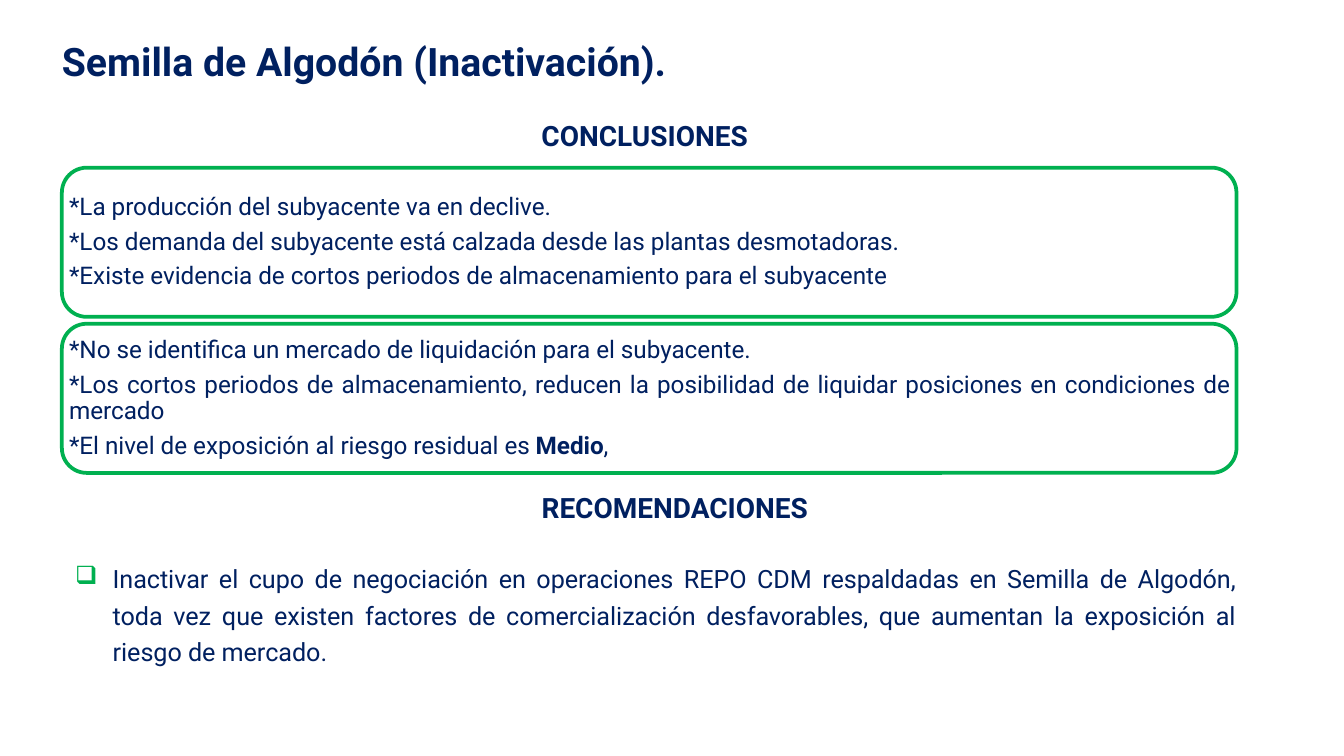
"""Builds the cottonseed slide with conclusions and recommendations."""
from lxml.etree import SubElement
from pptx import Presentation
from pptx.dml.color import RGBColor
from pptx.enum.shapes import MSO_SHAPE as Shape
from pptx.enum.text import MSO_ANCHOR as Anchor, MSO_AUTO_SIZE as AutoSize, PP_ALIGN as Align
from pptx.oxml.ns import qn
from pptx.util import Cm, Pt

NAVY = RGBColor(0x00, 0x20, 0x60)
GREEN = RGBColor(0x00, 0xB0, 0x50)
FONT = "Roboto"
LEFT, WIDTH = 1.17, 22.2
PANEL_TOP, PANEL_HEIGHT, PANEL_PITCH = 3.17, 2.82, 2.95

TITLE = "Semilla de Algodón (Inactivación)."
CONCLUSIONS = [
    [
        "*La producción del subyacente va en declive.",
        "*Los demanda del subyacente está calzada desde las plantas desmotadoras.",
        "*Existe evidencia de cortos periodos de almacenamiento para el subyacente",
    ],
    [
        "*No se identifica un mercado de liquidación para el subyacente.",
        "*Los cortos periodos de almacenamiento, reducen la posibilidad de liquidar "
        "posiciones en condiciones de mercado",
        "*El nivel de exposición al riesgo residual es |Medio|,",
    ],
]
RECOMMENDATION = (
    "Inactivar el cupo de negociación en operaciones REPO CDM respaldadas en Semilla de "
    "Algodón, toda vez que existen factores de comercialización desfavorables, que aumentan "
    "la exposición al riesgo de mercado."
)


def add_bullet(paragraph, char, indent):
    """Give a paragraph a green hanging bullet."""
    properties = paragraph._p.get_or_add_pPr()
    properties.set("marL", str(indent))
    properties.set("indent", str(-indent))
    color = SubElement(properties, qn("a:buClr"))
    SubElement(color, qn("a:srgbClr"), val=str(GREEN))
    SubElement(properties, qn("a:buChar"), char=char)


def write(frame, lines, size, bold=False, align=Align.LEFT, spacing=1.2, after=0,
          bullet=None, anchor=Anchor.TOP, inset=0):
    """Fill a text frame with one paragraph per line; |bars| mark bold words."""
    frame.word_wrap = True
    frame.auto_size = AutoSize.NONE
    frame.vertical_anchor = anchor
    frame.margin_left = frame.margin_right = frame.margin_top = frame.margin_bottom = Cm(inset)
    for index, line in enumerate(lines):
        paragraph = frame.paragraphs[0] if index == 0 else frame.add_paragraph()
        if bullet:
            add_bullet(paragraph, bullet, Cm(0.71))
        paragraph.alignment = align
        paragraph.line_spacing = spacing
        paragraph.space_before, paragraph.space_after = Pt(0), Pt(after)
        for part, words in enumerate(line.split("|")):
            run = paragraph.add_run()
            run.text = words
            run.font.name, run.font.size = FONT, Pt(size)
            run.font.bold = bold or part % 2 == 1
            run.font.color.rgb = NAVY


def add_title(slide, title):
    """Place and format the title placeholder."""
    heading = slide.shapes.title
    heading.left, heading.top, heading.width, heading.height = Cm(LEFT), Cm(0.53), Cm(17.4), Cm(1.09)
    write(heading.text_frame, [title], 21, bold=True, after=5.1)


def add_text(slide, left, top, width, height, text, size, **style):
    """Add a text box with one formatted paragraph."""
    box = slide.shapes.add_textbox(Cm(left), Cm(top), Cm(width), Cm(height))
    write(box.text_frame, [text], size, **style)


def add_panel(slide, top, lines):
    """Add a green rounded outline holding conclusions."""
    panel = slide.shapes.add_shape(
        Shape.ROUNDED_RECTANGLE, Cm(LEFT), Cm(top), Cm(WIDTH), Cm(PANEL_HEIGHT))
    panel.shadow.inherit = False
    panel.fill.background()
    panel.line.color.rgb = GREEN
    panel.line.width = Pt(2)
    write(panel.text_frame, lines, 13, align=Align.JUSTIFY, spacing=0.9, after=4.6,
          anchor=Anchor.MIDDLE)


def main():
    """Build and save the slide."""
    deck = Presentation()
    deck.slide_width, deck.slide_height = Cm(25.4), Cm(14.29)
    slide = deck.slides.add_slide(deck.slide_layouts[5])
    add_title(slide, TITLE)
    section = dict(size=15, bold=True, align=Align.CENTER, inset=0.13)
    add_text(slide, 7.65, 1.98, 9.07, 0.76, "CONCLUSIONES", **section)
    for index, lines in enumerate(CONCLUSIONS):
        add_panel(slide, PANEL_TOP + index * PANEL_PITCH, lines)
    add_text(slide, 9.07, 9.02, 7.37, 0.66, "RECOMENDACIONES", **section)
    add_text(slide, 1.42, 10.54, 21.95, 2.08, RECOMMENDATION, 13.5,
             align=Align.JUSTIFY, bullet="❑")
    deck.save("out.pptx")


if __name__ == "__main__":
    main()
